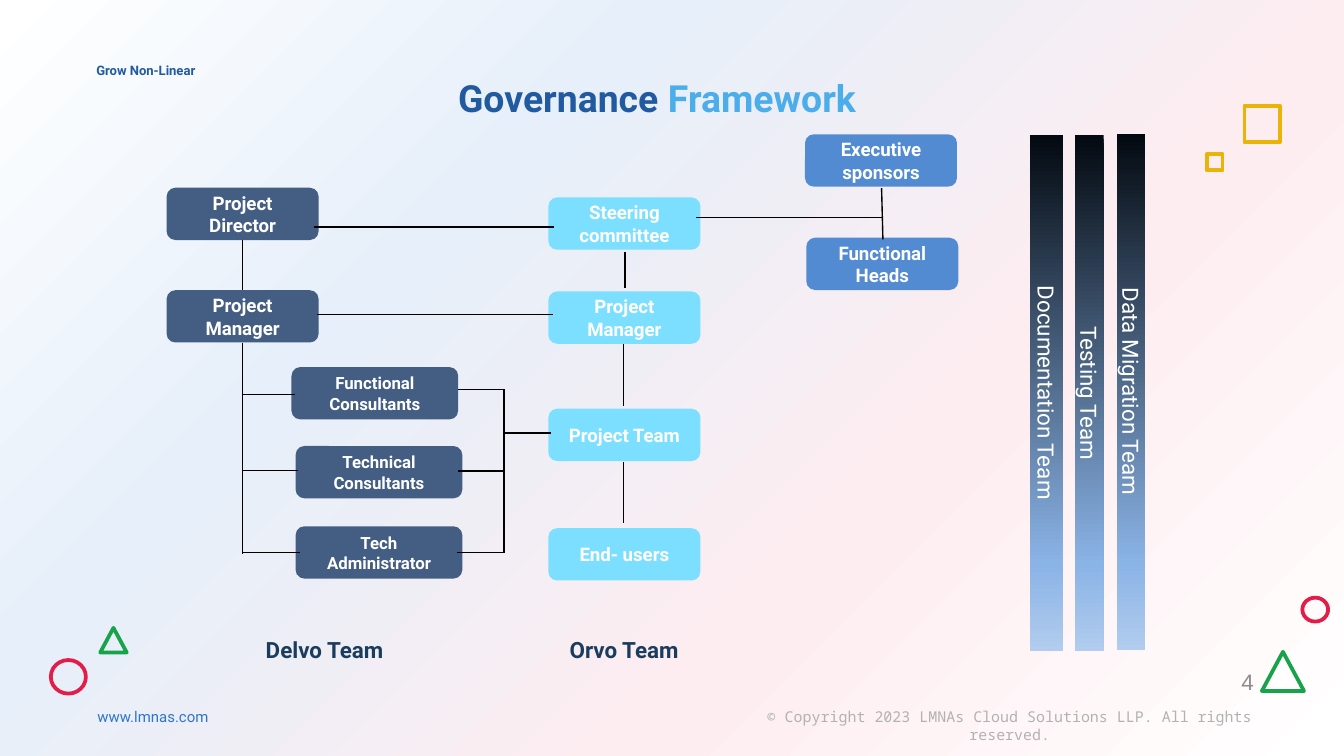
from lxml import etree
from pptx import Presentation
from pptx.dml.color import RGBColor
from pptx.enum import shapes, text
from pptx.oxml.ns import qn
from pptx.util import Pt

NAVY = RGBColor(0x43, 0x5E, 0x82)
CYAN = RGBColor(0x7D, 0xDF, 0xFF)
MID_BLUE = RGBColor(0x52, 0x8B, 0xD2)
BLUE = RGBColor(0x22, 0x5A, 0xA0)
SKY = RGBColor(0x4B, 0xAD, 0xE9)
LINK = RGBColor(0x2C, 0x75, 0xCE)
INK = RGBColor(0x1A, 0x3C, 0x5D)
GREY = RGBColor(0xB2, 0xB2, 0xB2)
DARK_GREY = RGBColor(0x8C, 0x8C, 0x8C)
WHITE = RGBColor(0xFF, 0xFF, 0xFF)
BLACK = RGBColor(0, 0, 0)
GREEN = RGBColor(0x16, 0xA3, 0x4A)
YELLOW = RGBColor(0xEA, 0xB3, 0x08)
RED = RGBColor(0xE1, 0x1D, 0x48)
BACKDROP = [(0, WHITE), (32, RGBColor(0xE6, 0xEF, 0xFA)),
            (66, RGBColor(0xFD, 0xED, 0xF0)), (100, WHITE)]
BAR_STOPS = [(0, RGBColor(0x03, 0x09, 0x10)), (83, RGBColor(0x8A, 0xB3, 0xE6)),
             (100, RGBColor(0xB1, 0xCC, 0xEE))]
MSO = shapes.MSO_SHAPE
LEFT, CENTER, RIGHT = text.PP_ALIGN.LEFT, text.PP_ALIGN.CENTER, text.PP_ALIGN.RIGHT
TOP, MIDDLE = text.MSO_ANCHOR.TOP, text.MSO_ANCHOR.MIDDLE


def set_gradient(fill, element, stops, angle):
    """Fill with (percent, colour) stops; angle runs clockwise in degrees."""
    fill.gradient()
    fill.gradient_angle = 360 - angle
    stop_list = element.find(".//" + qn("a:gsLst"))
    for old in list(stop_list):
        stop_list.remove(old)
    for percent, color in stops:
        stop = etree.SubElement(stop_list, qn("a:gs"), pos=str(percent * 1000))
        etree.SubElement(stop, qn("a:srgbClr"), val=str(color))


def write(sp, runs, size, align=CENTER, anchor=MIDDLE, font="Roboto", bold=False):
    """Put one paragraph of (wording, colour) runs into a shape."""
    tf = sp.text_frame
    tf.word_wrap = True
    tf.auto_size = text.MSO_AUTO_SIZE.NONE
    tf.vertical_anchor = anchor
    p = tf.paragraphs[0]
    p.alignment = align
    for wording, color in runs:
        r = p.add_run()
        r.text = wording
        r.font.name = font
        r.font.size = Pt(size)
        r.font.bold = bold
        r.font.color.rgb = color


prs = Presentation()
prs.slide_width, prs.slide_height = Pt(720), Pt(405)
s = prs.slides.add_slide(prs.slide_layouts[5])
set_gradient(s.background.fill, s.element, BACKDROP, 45)

# Title
title = s.shapes.title
title.left, title.top, title.width, title.height = Pt(118), Pt(33), Pt(468), Pt(62)
tf = title.text_frame
tf.margin_left = tf.margin_right = tf.margin_top = tf.margin_bottom = Pt(7.2)
write(title, [("Governance ", BLUE), ("Framework", SKY)], 20, anchor=TOP, bold=True)

# Outlined ornaments
ornaments = [
    (MSO.ISOSCELES_TRIANGLE, GREEN, 676, 349.2, 22.6, 21),
    (MSO.RECTANGLE, YELLOW, 666.7, 56.6, 19, 19.6),
    (MSO.OVAL, RED, 27.2, 353.6, 18.8, 18),
    (MSO.ISOSCELES_TRIANGLE, GREEN, 53.7, 336.4, 14.2, 13.2),
    (MSO.OVAL, RED, 697.7, 320.2, 13.8, 12.8),
    (MSO.RECTANGLE, YELLOW, 646.4, 82.6, 8.6, 8.6),
]
for kind, color, x, y, w, h in ornaments:
    sp = s.shapes.add_shape(kind, Pt(x), Pt(y), Pt(w), Pt(h))
    sp.shadow.inherit = False
    sp.fill.background()
    sp.line.color.rgb = color
    sp.line.width = Pt(2)

# Header, footer and team labels
labels = [
    ("Grow Non-Linear", 44.6, 30.2, 274, 16, 7, BLUE, LEFT, TOP, "Roboto", True),
    ("© Copyright 2023 LMNAs Cloud Solutions LLP. All rights reserved.",
     391, 375.8, 300, 27, 8, GREY, CENTER, TOP, "Noto Sans Mono", False),
    ("www.lmnas.com", 41, 375.8, 82, 17, 8, LINK, CENTER, TOP, "Roboto", False),
    ("4", 645.8, 354.2, 33, 21.6, 12, DARK_GREY, RIGHT, MIDDLE, "Arial", False),
    ("Delvo Team", 121.7, 337, 104.4, 21.6, 12, INK, CENTER, TOP, "Roboto", True),
    ("Orvo Team", 282.2, 337, 104.4, 21.6, 12, INK, CENTER, TOP, "Roboto", True),
]
for wording, x, y, w, h, size, color, align, anchor, font, bold in labels:
    sp = s.shapes.add_textbox(Pt(x), Pt(y), Pt(w), Pt(h))
    write(sp, [(wording, color)], size, align, anchor, font, bold)

# Organisation boxes: fill, width, text size, then (wording, left, top)
box_groups = [
    (NAVY, 81.4, 10, [("Project Director", 89.3, 100.6),
                      ("Project Manager", 89.3, 155.5)]),
    (NAVY, 89.3, 9, [("Functional Consultants", 156.2, 196.7),
                     ("Technical Consultants", 158.4, 239),
                     ("Tech Administrator", 158.4, 282)]),
    (CYAN, 81.4, 10, [("Steering committee", 293.8, 105.8),
                      ("Project Manager", 293.8, 156.2),
                      ("Project Team", 293.8, 219),
                      ("End- users", 293.8, 283)]),
    (MID_BLUE, 81.4, 10, [("Executive sponsors", 431.3, 72),
                          ("Functional Heads", 432, 127.4)]),
]
for color, width, size, boxes in box_groups:
    for wording, x, y in boxes:
        sp = s.shapes.add_shape(MSO.ROUNDED_RECTANGLE, Pt(x), Pt(y), Pt(width), Pt(28))
        sp.shadow.inherit = False
        sp.fill.solid()
        sp.fill.fore_color.rgb = color
        sp.line.fill.background()
        write(sp, [(wording, WHITE)], size, bold=True)

# Vertical team bars
bars = [("Documentation Team", 551.7, 72.2, 18), ("Testing Team", 576, 72.5, 15.3),
        ("Data Migration Team", 598.4, 71.6, 15.3)]
for wording, x, y, width in bars:
    sp = s.shapes.add_shape(MSO.RECTANGLE, Pt(x), Pt(y), Pt(width), Pt(276.5))
    sp.shadow.inherit = False
    set_gradient(sp.fill, sp.element, BAR_STOPS, 90)
    sp.line.fill.background()
    tf = sp.text_frame
    tf.margin_left = tf.margin_right = tf.margin_top = tf.margin_bottom = 0
    tf._bodyPr.set("vert", "vert")
    write(sp, [(wording, WHITE)], 12)

# Links as x1, y1, x2, y2
links = [
    # between columns
    (168, 121.7, 296.6, 121.7), (170, 168.6, 296, 168.6),
    (270.7, 231.9, 295.2, 231.9), (373, 116.6, 472.3, 116.6),
    # consultants to the bracket on their right
    (245.5, 208.8, 270, 208.8), (245.5, 252.4, 270, 252.4),
    (245, 296, 270, 296), (270, 208.4, 270, 296.4),
    # down the middle and right columns
    (334.8, 135.2, 334.8, 154.2), (334.2, 184.4, 334.2, 217.4),
    (334.2, 247.7, 334.2, 280), (472.3, 100.8, 473, 128.2),
    # down the left column and out to the consultants
    (129.9, 128.4, 129.9, 155.5), (129.9, 183.6, 129.9, 296.6),
    (129.9, 211.2, 158.2, 211.2), (129.9, 252.2, 159.4, 252.2),
    (129.9, 296, 160.6, 296),
]
for ends in links:
    cx = s.shapes.add_connector(shapes.MSO_CONNECTOR.STRAIGHT, *map(Pt, ends))
    cx.line.color.rgb = BLACK
    cx.line.width = Pt(0.75)
    etree.SubElement(cx.element.spPr, qn("a:effectLst"))

prs.save("out.pptx")
